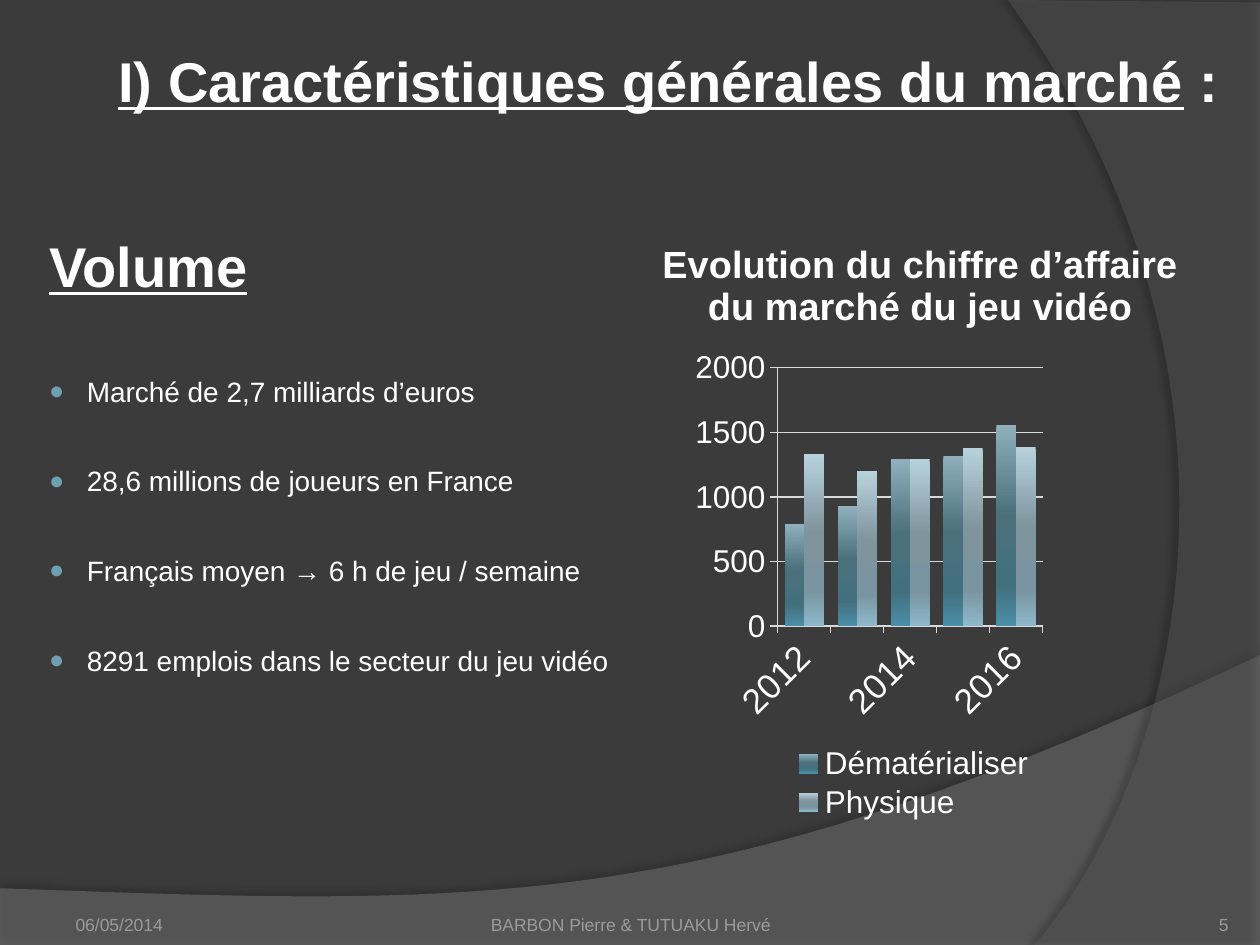
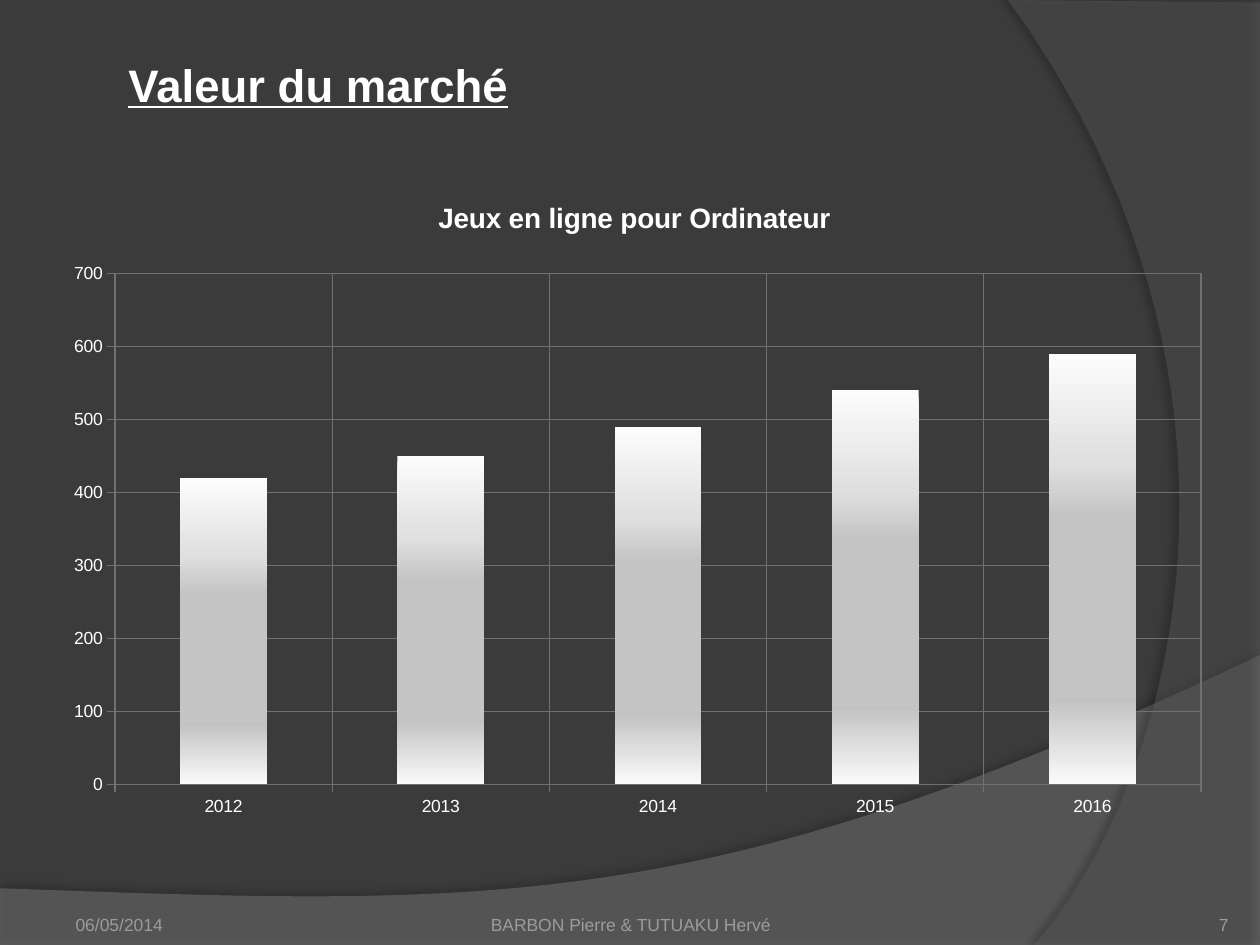
from dataclasses import dataclass
from typing import Optional

from lxml.etree import SubElement
from pptx import Presentation
from pptx.chart.data import CategoryChartData
from pptx.dml.color import RGBColor
from pptx.enum.chart import XL_CHART_TYPE, XL_LEGEND_POSITION, XL_TICK_MARK
from pptx.enum.text import MSO_ANCHOR, PP_ALIGN
from pptx.oxml import parse_xml
from pptx.oxml.ns import nsdecls, qn
from pptx.util import Emu, Inches, Pt

HUES = {
    "back": "3B3B3B", "text": "FFFFFF", "foot": "9D9B9A", "dot": "6EA0B0",
    "wave": "7F7F7F", "arc": "5E5E5E", "shade": "000000",
    "light": "D9D9D9", "dim": "707070",
}
FONT = "Arial"
YEARS = ("2012", "2013", "2014", "2015", "2016")

deck = Presentation()
deck.slide_width, deck.slide_height = Inches(10), Inches(7.5)
COL = deck.slide_width / 100   # the grid has 100 columns
ROW = deck.slide_height / 75   # and 75 rows


@dataclass
class Box:
    """A place on the grid: columns and rows."""
    left: float
    top: float
    wide: float
    high: float

    def spot(self) -> tuple:
        """Give the place in EMU."""
        return (Emu(round(self.left * COL)), Emu(round(self.top * ROW)),
                Emu(round(self.wide * COL)), Emu(round(self.high * ROW)))


@dataclass
class Look:
    """The style of a text."""
    size: float
    hue: str = "text"
    bold: bool = False
    line: bool = False
    side: PP_ALIGN = PP_ALIGN.LEFT


@dataclass
class Band:
    """A curved band; a step of two numbers is a line, of six a curve."""
    hue: str
    clear: int
    start: tuple
    steps: tuple
    shade: int
    far: float
    turn: int


@dataclass
class Bars:
    """A series of bars with its gradient: place in percent, colour."""
    name: str
    vals: tuple
    stops: tuple


@dataclass
class Plot:
    """A column chart; frames are shares of the chart's size."""
    box: Box
    title: str
    head: float
    size: float
    years: float
    gap: int
    grid: str
    frame: tuple
    bars: tuple
    key: Optional[tuple] = None
    cross: bool = False
    slant: int = 0


BANDS = (
    Band("wave", 45, (0, 70.5),
         ((0, 75), (100, 75), (100, 52), (55.9, 72.9, 39.1, 71.9, 0, 70.5)), 35, 3.5, 270),
    Band("arc", 40, (100, 0.2),
         ((100, 75), (82.1, 75), (93.5, 61.9, 101.8, 30, 80, 0)), 45, 4, 180),
)


def tint(name: str) -> RGBColor:
    """Look up a colour."""
    return RGBColor.from_string(HUES[name])


def style(font, look: Look) -> None:
    """Apply a look to a font."""
    font.name, font.size = FONT, Pt(look.size)
    font.bold, font.underline = look.bold, look.line
    font.color.rgb = tint(look.hue)


def bend(start: tuple, step: tuple, count: int = 40) -> list:
    """Turn one step of an outline into points."""
    if len(step) == 2:
        return [step]
    knots = (start, step[:2], step[2:4], step[4:])
    spots = []
    for i in range(1, count + 1):
        t = i / count
        parts = ((1 - t) ** 3, 3 * t * (1 - t) ** 2, 3 * t * t * (1 - t), t ** 3)
        spots.append(tuple(sum(p * k[n] for p, k in zip(parts, knots)) for n in (0, 1)))
    return spots


def add_band(slide, band: Band) -> None:
    """Draw a see-through band with its shadow."""
    spots = [band.start]
    for step in band.steps:
        spots += bend(spots[-1], step)
    spots = [(round(x * COL), round(y * ROW)) for x, y in spots]
    pen = slide.shapes.build_freeform(*spots[0], scale=1.0)
    pen.add_line_segments(spots[1:], close=True)
    shape = pen.convert_to_shape()
    shape.fill.solid()
    shape.fill.fore_color.rgb = tint(band.hue)
    shape.line.fill.background()
    shape.shadow.inherit = False
    props = shape._element.spPr
    hue = props.find(qn("a:solidFill"))[0]
    SubElement(hue, qn("a:alpha"), val=str(band.clear * 1000))
    props.find(qn("a:effectLst")).append(parse_xml(
        f'<a:outerShdw {nsdecls("a")} blurRad="{Pt(4)}" dist="{Pt(band.far)}" '
        f'dir="{band.turn * 60000}" rotWithShape="0"><a:srgbClr val="{HUES["shade"]}">'
        f'<a:alpha val="{band.shade * 1000}"/></a:srgbClr></a:outerShdw>'))


def add_text(slide, box: Box, text: str, look: Look, low: bool = False):
    """Place a text without margins and give back its frame."""
    frame = slide.shapes.add_textbox(*box.spot()).text_frame
    frame.word_wrap = True
    frame.margin_left = frame.margin_right = frame.margin_top = frame.margin_bottom = 0
    frame.vertical_anchor = MSO_ANCHOR.BOTTOM if low else MSO_ANCHOR.TOP
    frame.text = text
    for para in frame.paragraphs:
        para.alignment = look.side
        for run in para.runs:
            style(run.font, look)
    return frame


def add_point(frame, text: str, space: float) -> None:
    """Add a point with a round bullet."""
    para = frame.add_paragraph()
    para.text = text
    para.space_before = Pt(space)
    style(para.runs[0].font, Look(16))
    props = para._p.get_or_add_pPr()
    props.set("marL", str(Inches(0.3)))
    props.set("indent", str(-Inches(0.3)))
    hue = SubElement(props, qn("a:buClr"))
    SubElement(hue, qn("a:srgbClr"), val=HUES["dot"])
    SubElement(props, qn("a:buSzPct"), val="90000")
    SubElement(props, qn("a:buFont"), typeface=FONT)
    SubElement(props, qn("a:buChar"), char="●")


def set_frame(node, frame: tuple, index: int, inner: bool = False) -> None:
    """Fix the place of a chart part."""
    for old in node.findall(qn("c:layout")):
        node.remove(old)
    goal = '<c:layoutTarget val="inner"/>' if inner else ""
    modes = '<c:xMode val="edge"/><c:yMode val="edge"/>'
    sizes = "".join(f'<c:{tag} val="{val}"/>' for tag, val in zip("xywh", frame))
    node.insert(index, parse_xml(
        f'<c:layout {nsdecls("c")}><c:manualLayout>{goal}{modes}{sizes}'
        f'</c:manualLayout></c:layout>'))


def set_axis(axis, size: float, hue: str, grid: bool) -> None:
    """Style an axis and its grid."""
    style(axis.tick_labels.font, Look(size))
    axis.major_tick_mark = XL_TICK_MARK.OUTSIDE
    axis.has_major_gridlines = grid
    lines = [axis.format.line]
    if grid:
        lines.append(axis.major_gridlines.format.line)
    for line in lines:
        line.color.rgb = tint(hue)
        line.width = Pt(0.75)


def add_plot(slide, plot: Plot) -> None:
    """Draw a column chart."""
    data = CategoryChartData()
    data.categories = YEARS
    for bars in plot.bars:
        data.add_series(bars.name, bars.vals)
    chart = slide.shapes.add_chart(
        XL_CHART_TYPE.COLUMN_CLUSTERED, *plot.box.spot(), data).chart
    style(chart.font, Look(plot.size))
    chart.has_title = True
    title = chart.chart_title.text_frame
    title.text = plot.title
    style(title.paragraphs[0].runs[0].font, Look(plot.head, bold=True))

    set_axis(chart.category_axis, plot.years, plot.grid, plot.cross)
    set_axis(chart.value_axis, plot.size, plot.grid, True)
    if plot.slant:
        turn = chart.category_axis._element.find(qn("c:txPr")).find(qn("a:bodyPr"))
        turn.set("rot", str(plot.slant * 60000))
        turn.set("vert", "horz")

    group = chart.plots[0]
    group.gap_width, group.overlap, group.vary_by_categories = plot.gap, 0, False
    for series, bars in zip(group.series, plot.bars):
        series.invert_if_negative = False
        stops = "".join(f'<a:gs pos="{pos * 1000}"><a:srgbClr val="{hue}"/></a:gs>'
                        for pos, hue in bars.stops)
        series._element.get_or_add_spPr().append(parse_xml(
            f'<a:gradFill {nsdecls("a")} rotWithShape="1"><a:gsLst>{stops}</a:gsLst>'
            f'<a:lin ang="5400000" scaled="0"/></a:gradFill>'))

    set_frame(chart._chartSpace.chart.plotArea, plot.frame, 0, inner=True)
    chart.has_legend = plot.key is not None
    if plot.key:
        chart.legend.position = XL_LEGEND_POSITION.RIGHT
        chart.legend.include_in_layout = False
        style(chart.legend.font, Look(plot.size))
        set_frame(chart.legend._element, plot.key, 1)


def add_slide(number: int):
    """Start a slide with ground, bands and footer."""
    slide = deck.slides.add_slide(deck.slide_layouts[6])
    slide.background.fill.solid()
    slide.background.fill.fore_color.rgb = tint("back")
    for band in BANDS:
        add_band(slide, band)
    feet = ((6, 22, "06/05/2014", PP_ALIGN.LEFT),
            (34.2, 31.7, "BARBON Pierre & TUTUAKU Hervé", PP_ALIGN.CENTER),
            (89.2, 8.3, str(number), PP_ALIGN.RIGHT))
    for left, wide, text, side in feet:
        add_text(slide, Box(left, 70.2, wide, 4), text, Look(10, "foot", side=side), low=True)
    return slide


# Volume of the market
slide = add_slide(5)
frame = add_text(slide, Box(5, 3.7, 91.7, 6), "I) Caractéristiques générales du marché",
                 Look(32, bold=True, line=True, side=PP_ALIGN.RIGHT))
tail = frame.paragraphs[0].add_run()
tail.text = " :"
style(tail.font, Look(32, bold=True))

frame = add_text(slide, Box(3.9, 18.4, 46, 36), "Volume", Look(32, bold=True, line=True))
POINTS = ("Marché\u00a0de 2,7 milliards d’euros", "28,6 millions de joueurs en France",
          "Français moyen → 6 h de jeu / semaine",
          "8291 emplois dans le secteur du jeu vidéo")
for i, point in enumerate(POINTS):
    add_point(frame, point, 32 if i else 43)

add_plot(slide, Plot(
    Box(46.1, 17, 53.9, 48.8), "Evolution du chiffre d’affaire du marché du jeu vidéo",
    21.6, 18, 20, 70, "light", (0.29, 0.25, 0.39, 0.42),
    (Bars("Dématérialiser", (790, 930, 1290, 1320, 1560),
          ((0, "8FB0BC"), (45, "4A707C"), (80, "43707F"), (100, "4A8FA8"))),
     Bars("Physique", (1330, 1200, 1290, 1380, 1390),
          ((0, "B8D2DC"), (45, "7F959E"), (80, "7A95A1"), (100, "8EB8CA")))),
    key=(0.31, 0.86, 0.36, 0.13), slant=-45))

# Value of the market
slide = add_slide(7)
add_text(slide, Box(10.2, 4.5, 80, 5), "Valeur du marché", Look(26, bold=True, line=True))
ONLINE = "Jeux en ligne pour Ordinateur"
add_plot(slide, Plot(
    Box(3.5, 13.9, 93.7, 52), ONLINE, 16, 10, 10, 150, "dim", (0.06, 0.15, 0.92, 0.78),
    (Bars(ONLINE, (420, 450, 490, 540, 590),
          ((0, "FCFCFC"), (25, "E0E0E0"), (38, "C4C4C4"), (80, "C2C2C2"), (100, "FAFAFA"))),),
    cross=True))

deck.save("out.pptx")
